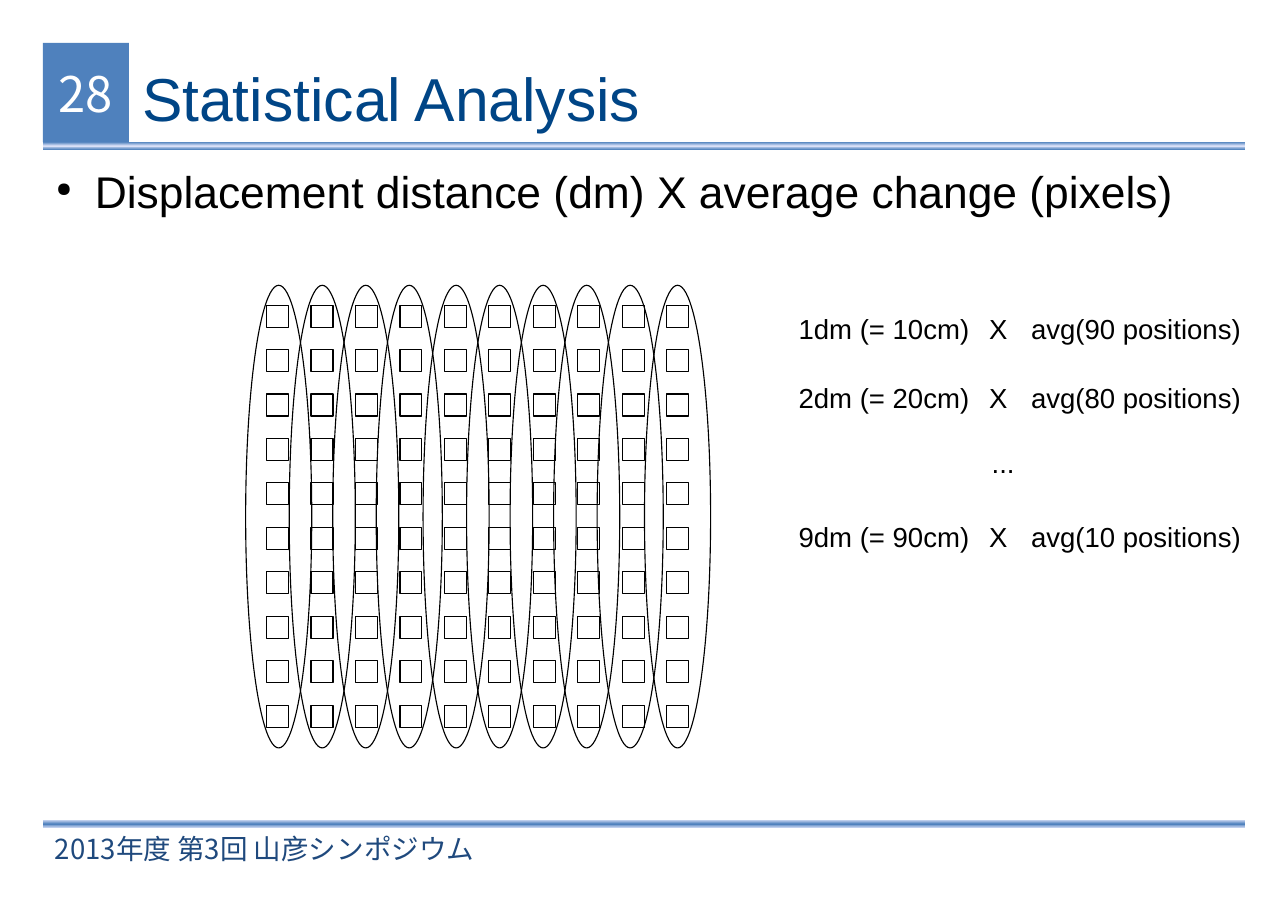
from dataclasses import dataclass

from lxml import etree
from pptx import Presentation
from pptx import util as u
from pptx.dml.color import RGBColor
from pptx.enum import shapes, text
from pptx.oxml import ns


@dataclass(frozen=True)
class Theme:
    blue: str = "4F81BD"
    pale: str = "DAE1F8"
    navy: str = "1F497D"
    title_blue: str = "004586"
    black: str = "000000"
    white: str = "FFFFFF"
    latin: str = "Arial"
    japanese: str = "Noto Sans CJK JP"
    title_size: float = 39.6
    number_size: float = 32
    body_size: float = 29
    small_size: float = 18


@dataclass(frozen=True)
class Box:
    left: float
    top: float
    width: float
    height: float

    def lengths(self) -> list:
        return [u.Inches(n) for n in (self.left, self.top, self.width, self.height)]


@dataclass(frozen=True)
class Style:
    size: float
    color: str
    font: str
    align: text.PP_ALIGN = text.PP_ALIGN.LEFT
    anchor: text.MSO_ANCHOR = text.MSO_ANCHOR.TOP
    inset: tuple = (0, 0)


@dataclass(frozen=True)
class Comparison:
    top: float
    distance: str
    average: str


@dataclass(frozen=True)
class EllipseGroup:
    left: float
    count: int


THEME = Theme()
SMALL = Style(THEME.small_size, THEME.black, THEME.latin, inset=(0.1, 0.05))
COMPARISONS = [
    Comparison(2.78, "1dm (= 10cm)", "avg(90 positions)"),
    Comparison(3.41, "2dm (= 20cm)", "avg(80 positions)"),
    Comparison(4.67, "9dm (= 90cm)", "avg(10 positions)"),
]
ELLIPSE_GROUPS = [EllipseGroup(2.23, 4), EllipseGroup(3.84, 5), EllipseGroup(5.85, 1)]
GRID_COUNT = 10
GRID_PITCH = 0.4035
ELLIPSE_PITCH = 0.395


def add_child(parent, tag: str, **attributes: str):
    return etree.SubElement(parent, ns.qn(tag), attributes)


def write(shape, content: str, style: Style):
    """Fill a shape with one styled run and return its paragraph."""
    frame = shape.text_frame
    frame.word_wrap = True
    frame.vertical_anchor = style.anchor
    frame.margin_left = frame.margin_right = u.Inches(style.inset[0])
    frame.margin_top = frame.margin_bottom = u.Inches(style.inset[1])
    paragraph = frame.paragraphs[0]
    paragraph.alignment = style.align
    run = paragraph.add_run()
    run.text = content
    run.font.size = u.Pt(style.size)
    run.font.name = style.font
    run.font.color.rgb = RGBColor.from_string(style.color)
    add_child(run.font._element, "a:ea", typeface=style.font)
    return paragraph


def add_text(slide, box: Box, content: str, style: Style):
    return write(slide.shapes.add_textbox(*box.lengths()), content, style)


def add_plain_shape(slide, kind: shapes.MSO_SHAPE, box: Box):
    shape = slide.shapes.add_shape(kind, *box.lengths())
    shape.shadow.inherit = False
    shape.fill.background()
    shape.line.fill.background()
    return shape


def add_outline(slide, kind: shapes.MSO_SHAPE, box: Box) -> None:
    shape = add_plain_shape(slide, kind, box)
    shape.line.color.rgb = RGBColor.from_string(THEME.black)
    shape.line.width = u.Pt(0)


def add_gradient_bar(slide, box: Box, edge: str, middle: str) -> None:
    shape = add_plain_shape(slide, shapes.MSO_SHAPE.RECTANGLE, box)
    shape.fill.gradient()
    shape.fill.gradient_angle = 270
    stops = shape._element.spPr.find(ns.qn("a:gradFill")).find(ns.qn("a:gsLst"))
    for stop in list(stops):
        stops.remove(stop)
    for position, color in ((0, edge), (50, middle), (100, edge)):
        stop = add_child(stops, "a:gs", pos=str(position * 1000))
        add_child(stop, "a:srgbClr", val=color)


def add_bullet(paragraph) -> None:
    properties = paragraph._p.get_or_add_pPr()
    properties.set("marL", str(u.Inches(0.47)))
    properties.set("indent", str(u.Inches(-0.35)))
    color = add_child(properties, "a:buClr")
    add_child(color, "a:srgbClr", val=THEME.black)
    add_child(properties, "a:buSzPct", val="45000")
    add_child(properties, "a:buChar", char="●")


def add_tab_stop(paragraph, position: float) -> None:
    tabs = add_child(paragraph._p.get_or_add_pPr(), "a:tabLst")
    add_child(tabs, "a:tab", pos=str(u.Inches(position)), algn="l")


def add_frame(slide) -> None:
    """Header bar, slide number and footer."""
    middle = text.MSO_ANCHOR.MIDDLE
    add_gradient_bar(slide, Box(0.39, 1.29, 10.91, 0.07), THEME.blue, THEME.pale)
    number = add_plain_shape(slide, shapes.MSO_SHAPE.RECTANGLE, Box(0.39, 0.39, 0.78, 0.9))
    number.fill.solid()
    number.fill.fore_color.rgb = RGBColor.from_string(THEME.blue)
    write(number, "28", Style(THEME.number_size, THEME.white, THEME.japanese,
                              text.PP_ALIGN.CENTER, middle))
    add_gradient_bar(slide, Box(0.39, 7.44, 10.91, 0.08), THEME.pale, THEME.blue)
    add_text(slide, Box(0.4, 7.52, 6.69, 0.36), "2013年度 第3回 山彦シンポジウム",
             Style(THEME.small_size, THEME.navy, THEME.japanese, anchor=middle,
                   inset=(0.1, 0.05)))


def add_headings(slide) -> None:
    add_text(slide, Box(1.29, 0.41, 9.71, 0.95), "Statistical Analysis",
             Style(THEME.title_size, THEME.title_blue, THEME.latin,
                   anchor=text.MSO_ANCHOR.MIDDLE))
    topic = add_text(slide, Box(0.39, 1.49, 10.91, 0.9),
                     "Displacement distance (dm) X average change (pixels)",
                     Style(THEME.body_size, THEME.black, THEME.latin))
    add_bullet(topic)


def add_position_grid(slide) -> None:
    """Ten by ten positions, each column ringed by an ellipse."""
    for column in range(GRID_COUNT):
        for row in range(GRID_COUNT):
            add_outline(slide, shapes.MSO_SHAPE.RECTANGLE,
                        Box(2.42 + column * GRID_PITCH, 2.77 + row * GRID_PITCH, 0.2, 0.2))
    for group in ELLIPSE_GROUPS:
        for index in range(group.count):
            add_outline(slide, shapes.MSO_SHAPE.OVAL,
                        Box(group.left + index * ELLIPSE_PITCH, 2.59, 0.6, 4.2))


def add_comparisons(slide) -> None:
    for comparison in COMPARISONS:
        add_text(slide, Box(7.15, comparison.top, 1.8, 0.38), comparison.distance, SMALL)
        average = add_text(slide, Box(8.88, comparison.top, 2.67, 0.38),
                           f"X\t{comparison.average}", SMALL)
        add_tab_stop(average, 0.38)
    add_text(slide, Box(7.15, 4, 3.91, 0.38), "...",
             Style(THEME.small_size, THEME.black, THEME.latin,
                   text.PP_ALIGN.CENTER, inset=(0.1, 0.05)))


def main() -> None:
    presentation = Presentation()
    presentation.slide_width = u.Inches(11.69)
    presentation.slide_height = u.Inches(8.27)
    slide = presentation.slides.add_slide(presentation.slide_layouts[6])
    add_frame(slide)
    add_headings(slide)
    add_position_grid(slide)
    add_comparisons(slide)
    presentation.save("out.pptx")


if __name__ == "__main__":
    main()
